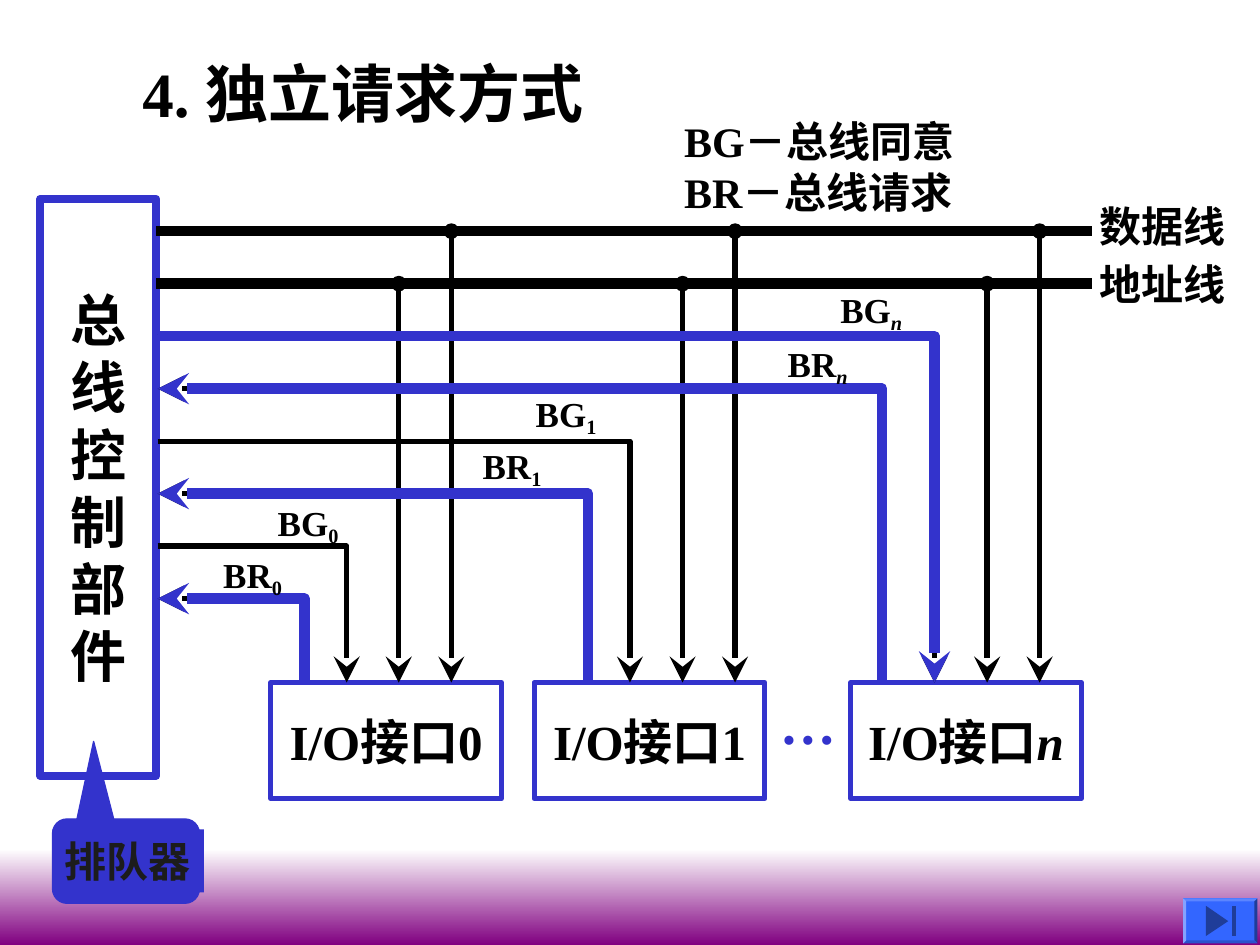
from lxml import etree
from pptx import Presentation
from pptx import util as u
from pptx.dml.color import RGBColor
from pptx.enum import shapes, text
from pptx.oxml.ns import qn

hue = RGBColor.from_string
BLUE, BLACK = "3333CC", "000000"
LEFT, MID = text.PP_ALIGN.LEFT, text.PP_ALIGN.CENTER


def write(box, rows, size, color=BLACK, align=LEFT, wrap=False, pad=True, sub=False):
    """Fill a box; a bar in a row splits it into runs."""
    frame = box.text_frame
    frame.word_wrap = wrap
    frame.vertical_anchor = text.MSO_ANCHOR.MIDDLE if align == MID else text.MSO_ANCHOR.TOP
    if not pad:
        frame.margin_left = frame.margin_right = frame.margin_top = frame.margin_bottom = 0
    frame.text = "\n".join(rows).replace("|", "")
    for para, row in zip(frame.paragraphs, rows):
        para.alignment = align
        parts = row.split("|")
        para.runs[0].text = parts[0]
        for part in parts[1:]:
            para.add_run().text = part
        for i, run in enumerate(para.runs):
            font = run.font
            font.name, font.size, font.bold = "Times New Roman", u.Pt(size), True
            font.italic = run.text == "n"
            font.color.rgb = hue(color)
            if sub and i:
                font._element.set("baseline", "-20000")


def ink(item, color, width, **ends):
    """Style a line with round joins, optional ends and no shadow."""
    item.line.color.rgb = hue(color)
    item.line.width = u.Pt(width)
    ln = item.line._get_or_add_ln()
    etree.SubElement(ln, qn("a:round"))
    for end in ("headEnd", "tailEnd"):
        if end in ends:
            kind, big = ends[end]
            etree.SubElement(ln, qn("a:" + end), type=kind, w=big, len=big)
    etree.SubElement(item._element.spPr, qn("a:effectLst"))


deck = Presentation()
deck.slide_width, deck.slide_height = u.Cm(25.4), u.Cm(19.05)
slide = deck.slides.add_slide(deck.slide_layouts[6])
draw = slide.shapes
kind = shapes.MSO_SHAPE

# Fading band at the foot
band = draw.add_shape(kind.RECTANGLE, 0, u.Cm(17.12), u.Cm(25.4), u.Cm(1.93))
band.shadow.inherit = False
band.line.fill.background()
band.fill.gradient()
band.fill.gradient_angle = 270
for stop, color, pos in zip(band.fill.gradient_stops, ("FFFFFF", "800080"), (0, 1)):
    stop.color.rgb = hue(color)
    stop.position = pos

# Queue callout
call = draw.add_shape(kind.ROUNDED_RECTANGULAR_CALLOUT, *map(u.Cm, (1.06, 16.51, 2.96, 1.7)))
for i, value in enumerate((-0.22, -1.42, 0.17)):
    call.adjustments[i] = value
call.fill.solid()
call.fill.fore_color.rgb = hue(BLUE)
ink(call, BLUE, 0.75)
tag = draw.add_shape(kind.RECTANGLE, *map(u.Cm, (1.06, 16.72, 3.05, 1.27)))
tag.shadow.inherit = False
tag.fill.solid()
tag.fill.fore_color.rgb = hue(BLUE)
tag.line.fill.background()
write(tag, ["排队器"], 24, "1C1C1C")

# Title, legend, bus names and ellipsis
for x, y, w, h, rows, size, color, wrap in (
    (2.62, 0.97, 11.68, 1.78, ["4. 独立请求方式"], 36, BLACK, True),
    (13.54, 2.21, 6.55, 2.29, ["BG－总线同意", "BR－总线请求"], 24, BLACK, True),
    (21.92, 3.91, 3.05, 1.27, ["数据线"], 24, BLACK, False),
    (21.92, 5.08, 3.05, 1.27, ["地址线"], 24, BLACK, False),
    (15.47, 13.76, 1.63, 1.63, ["…"], 32, BLUE, False),
):
    write(draw.add_textbox(*map(u.Cm, (x, y, w, h))), rows, size, color, wrap=wrap)

# Controller and interfaces
for x, y, w, h, rows, size, width in (
    (0.81, 4.01, 2.34, 11.63, list("总线控制部件"), 32, 4.5),
    (5.46, 13.76, 4.65, 2.34, ["I/O接口|0"], 28, 3),
    (10.77, 13.76, 4.65, 2.34, ["I/O接口|1"], 28, 3),
    (17.15, 13.76, 4.65, 2.34, ["I/O接口|n"], 28, 3),
):
    box = draw.add_shape(kind.RECTANGLE, *map(u.Cm, (x, y, w, h)))
    box.fill.background()
    ink(box, BLUE, width)
    write(box, rows, size, align=MID)

# Bus lines, and taps from each bus down to each interface
step, edge, top, foot = 25.4 / 24, 3.18, 4.66, 13.76
for y in (top, top + step):
    bus = draw.add_connector(shapes.MSO_CONNECTOR.STRAIGHT, *map(u.Cm, (3.15, y, 22.02, y)))
    ink(bus, BLACK, 6)
for x in (8.04, 13.76, 19.9):
    for dx, y in ((0, top + step), (step, top)):
        tap = draw.add_connector(
            shapes.MSO_CONNECTOR.STRAIGHT, *map(u.Cm, (x + dx, y, x + dx, foot)))
        ink(tap, BLACK, 3, headEnd=("oval", "med"), tailEnd=("stealth", "lg"))

# Grant and request wires: corner x, row, arrow end; blue ones over a thin core
thin = [(12.7, 4, "tailEnd"), (6.99, 6, "tailEnd")]
thick = [(17.78, 3, "headEnd"), (11.85, 5, "headEnd"),
         (6.14, 7, "headEnd"), (18.84, 2, "tailEnd")]
for wires, color, width, big in (
        (thin + thick, BLACK, 3, "lg"), (thick, BLUE, 6, "med")):
    for x, row, end in wires:
        y = top + row * step
        pen = draw.build_freeform(u.Cm(edge), u.Cm(y))
        pen.add_line_segments([(u.Cm(x), u.Cm(y)), (u.Cm(x), u.Cm(foot))], close=False)
        wire = pen.convert_to_shape()
        wire.fill.background()
        ink(wire, color, width, **{end: ("stealth", big)})

# Wire labels
for x, y, name in (
    (4.5, 11.15, "BR|0"), (5.6, 10.11, "BG|0"), (9.73, 8.97, "BR|1"),
    (10.8, 7.92, "BG|1"), (15.88, 6.91, "BR|n"), (16.94, 5.82, "BG|n"),
):
    label = draw.add_textbox(*map(u.Cm, (x, y, 2.34, 0.94)))
    write(label, [name], 20, wrap=True, pad=False, sub=True)

# Bevelled button: face, four edges, triangle and bar
l, t, r, b, d = 23.85, 18.11, 25.35, 19.02, 0.06
for color, dots in (
    ("3366FF", [(l, t), (r, t), (r, b), (l, b)]),
    ("5C85FF", [(l, t), (r, t), (r - d, t + d), (l + d, t + d)]),
    ("1F3D99", [(r, t), (r, b), (r - d, b - d), (r - d, t + d)]),
    ("2952CC", [(r, b), (l, b), (l + d, b - d), (r - d, b - d)]),
    ("85A3FF", [(l, b), (l, t), (l + d, t + d), (l + d, b - d)]),
    ("1F3D99", [(24.76, 18.57), (24.31, 18.87), (24.31, 18.26)]),
    ("1F3D99", [(24.84, 18.26), (24.84, 18.87), (24.92, 18.87), (24.92, 18.26)]),
):
    dots = [(u.Cm(x), u.Cm(y)) for x, y in dots]
    pen = draw.build_freeform(*dots[0])
    pen.add_line_segments(dots[1:])
    face = pen.convert_to_shape()
    face.shadow.inherit = False
    face.fill.solid()
    face.fill.fore_color.rgb = hue(color)
    face.line.fill.background()

deck.save("out.pptx")
